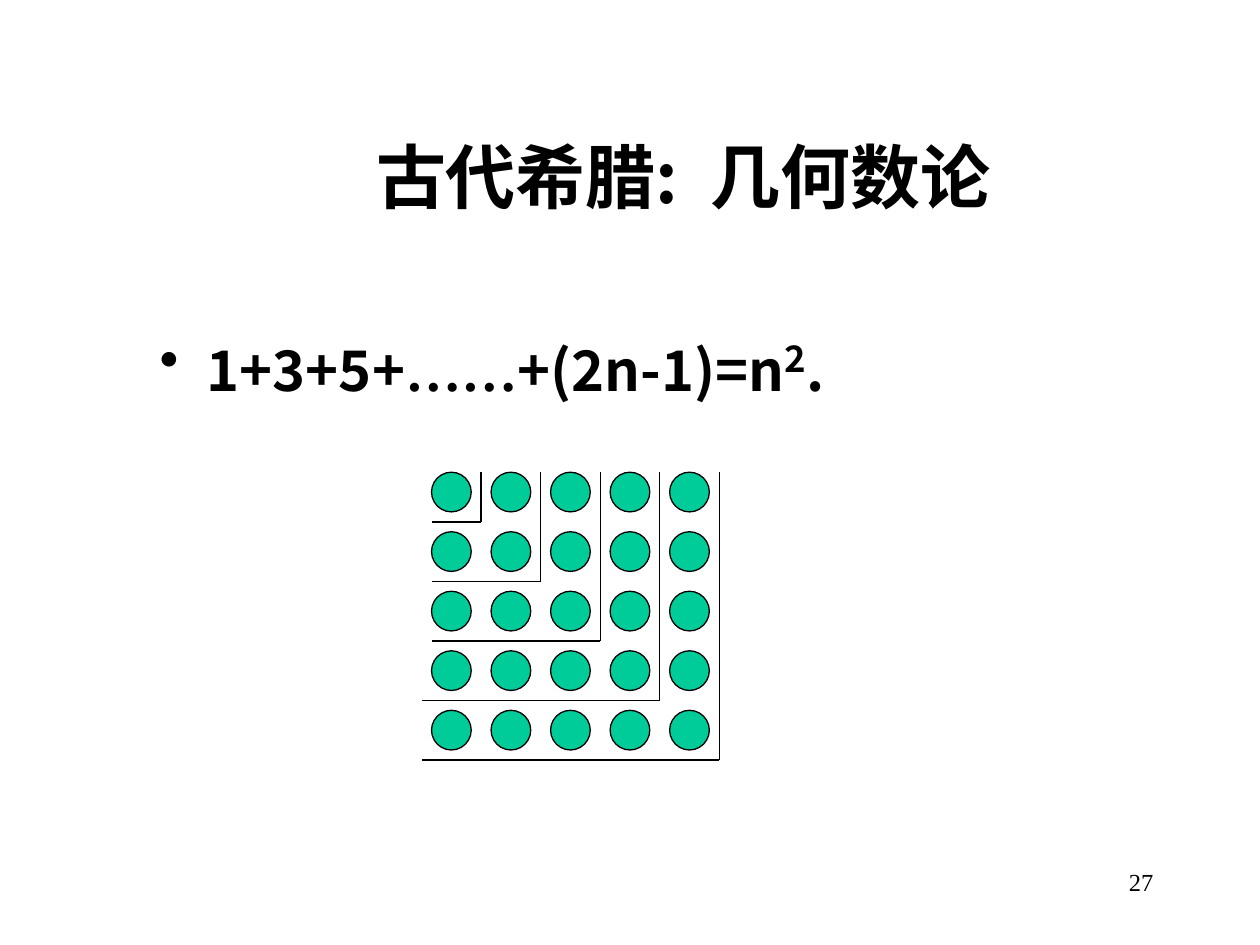
from lxml.etree import SubElement
from pptx import Presentation
from pptx.dml.color import RGBColor
from pptx.enum.shapes import MSO_CONNECTOR, MSO_SHAPE
from pptx.enum.text import MSO_ANCHOR, PP_ALIGN
from pptx.oxml.ns import qn
from pptx.util import Cm, Pt

SANS = "Noto Sans CJK JP"
SERIF = "Times New Roman"
BLACK = "000000"
GREEN = "00CC99"


def color(value):
    return RGBColor.from_string(value)


def set_font(font, name, size, bold=False):
    font.name, font.size, font.bold = name, Pt(size), bold
    font.color.rgb = color(BLACK)


def add_span(para, text, name):
    """Add a run whose Latin and East Asian typefaces are both the given one."""
    span = para.add_run()
    span.text = text
    span.font.name = name
    SubElement(span.font._element, qn("a:ea")).set("typeface", name)
    return span


def add_text_box(page, left, top, width, height, anchor=MSO_ANCHOR.TOP):
    box = page.shapes.add_textbox(Cm(left), Cm(top), Cm(width), Cm(height))
    box.text_frame.word_wrap = True
    box.text_frame.vertical_anchor = anchor
    return box.text_frame.paragraphs[0]


def add_title(page, left, top, width, height):
    para = add_text_box(page, left, top, width, height, MSO_ANCHOR.MIDDLE)
    para.alignment = PP_ALIGN.CENTER
    set_font(para.font, SANS, 40, bold=True)
    add_span(para, "古代希腊:  几何数论", SANS)


def add_formula(page, left, top, width, height):
    para = add_text_box(page, left, top, width, height)
    properties = para._p.get_or_add_pPr()
    properties.set("marL", str(Cm(0.95)))
    properties.set("indent", str(-Cm(0.95)))
    SubElement(properties, qn("a:buChar")).set("char", "•")
    set_font(para.font, SANS, 32, bold=True)
    add_span(para, "1+3+5+", SANS)
    add_span(para, "……", SERIF)
    add_span(para, "+(2n-1)=n", SANS)
    exponent = add_span(para, "2", SANS)
    exponent.font.size = Pt(36)
    exponent.font._element.set("baseline", "30000")
    add_span(para, ".", SANS)


def add_dot(page, left, top, size):
    dot = page.shapes.add_shape(MSO_SHAPE.OVAL, Cm(left), Cm(top), Cm(size), Cm(size))
    dot.shadow.inherit = False
    dot.fill.solid()
    dot.fill.fore_color.rgb = color(GREEN)
    dot.line.color.rgb = color(BLACK)
    dot.line.width = Pt(0.75)


def add_line(page, x1, y1, x2, y2):
    line = page.shapes.add_connector(
        MSO_CONNECTOR.STRAIGHT, Cm(x1), Cm(y1), Cm(x2), Cm(y2))
    line.line.color.rgb = color(BLACK)
    line.line.width = Pt(0.75)
    SubElement(line._element.spPr, qn("a:effectLst"))


def add_square_number(page, left, top, count=5, pitch=1.2, size=0.8):
    """Draw a square of dots, with a gnomon closing each smaller square."""
    for row in range(count):
        for column in range(count):
            add_dot(page, left + column * pitch, top + row * pitch, size)
    for order in range(1, count + 1):
        reach = order * pitch - (pitch - size) / 2
        right, bottom = left + reach, top + reach
        overhang = 0.2 if order > 3 else 0
        add_line(page, right, top, right, bottom)
        add_line(page, left - overhang, bottom, right, bottom)


def add_page_number(page, left, top, width, height):
    para = add_text_box(page, left, top, width, height)
    para.alignment = PP_ALIGN.RIGHT
    set_font(para.font, SERIF, 14)
    add_span(para, "27", SERIF)


def main():
    deck = Presentation()
    deck.slide_width, deck.slide_height = Cm(25.4), Cm(19.05)
    page = deck.slides.add_slide(deck.slide_layouts[6])
    add_page_number(page, 18.2, 17.35, 5.3, 1.27)
    add_title(page, 2.97, 2.34, 21.6, 2.4)
    add_formula(page, 2.97, 6.5, 21.6, 2)
    add_square_number(page, 8.7, 9.52)
    deck.save("out.pptx")


if __name__ == "__main__":
    main()
